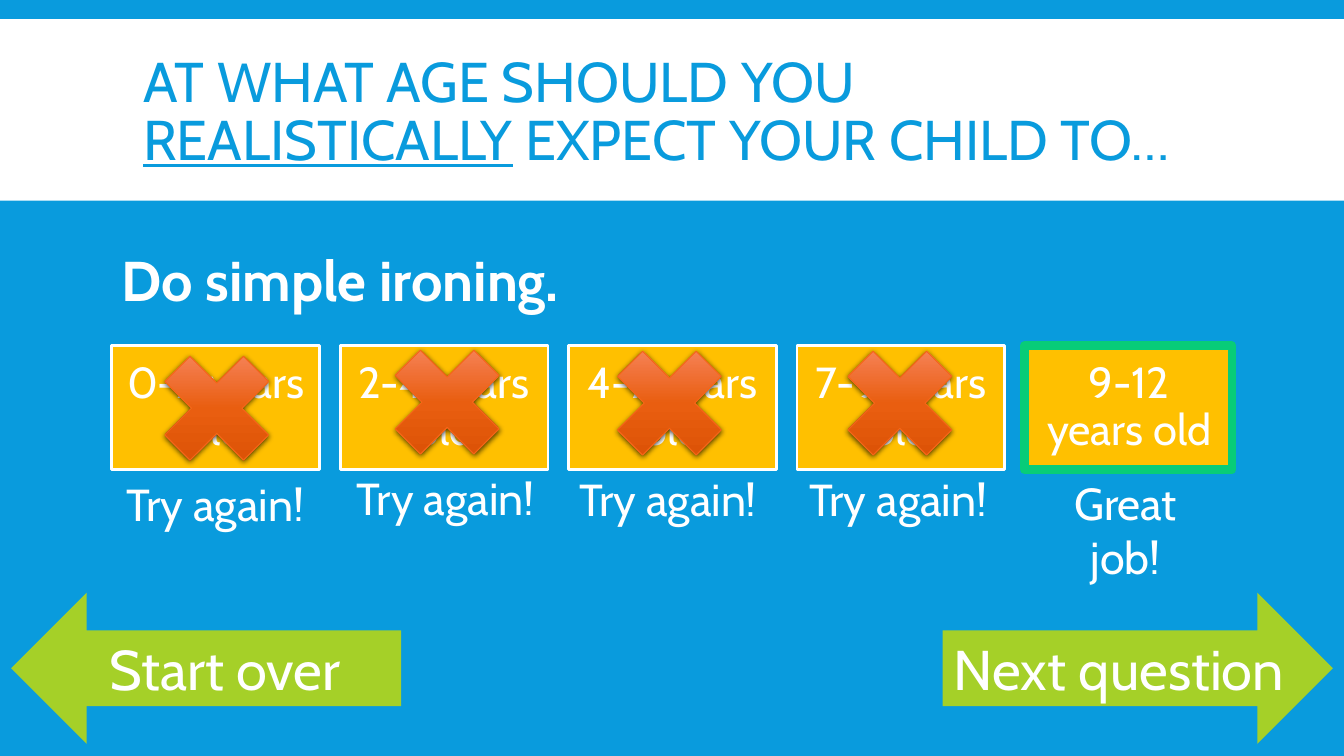
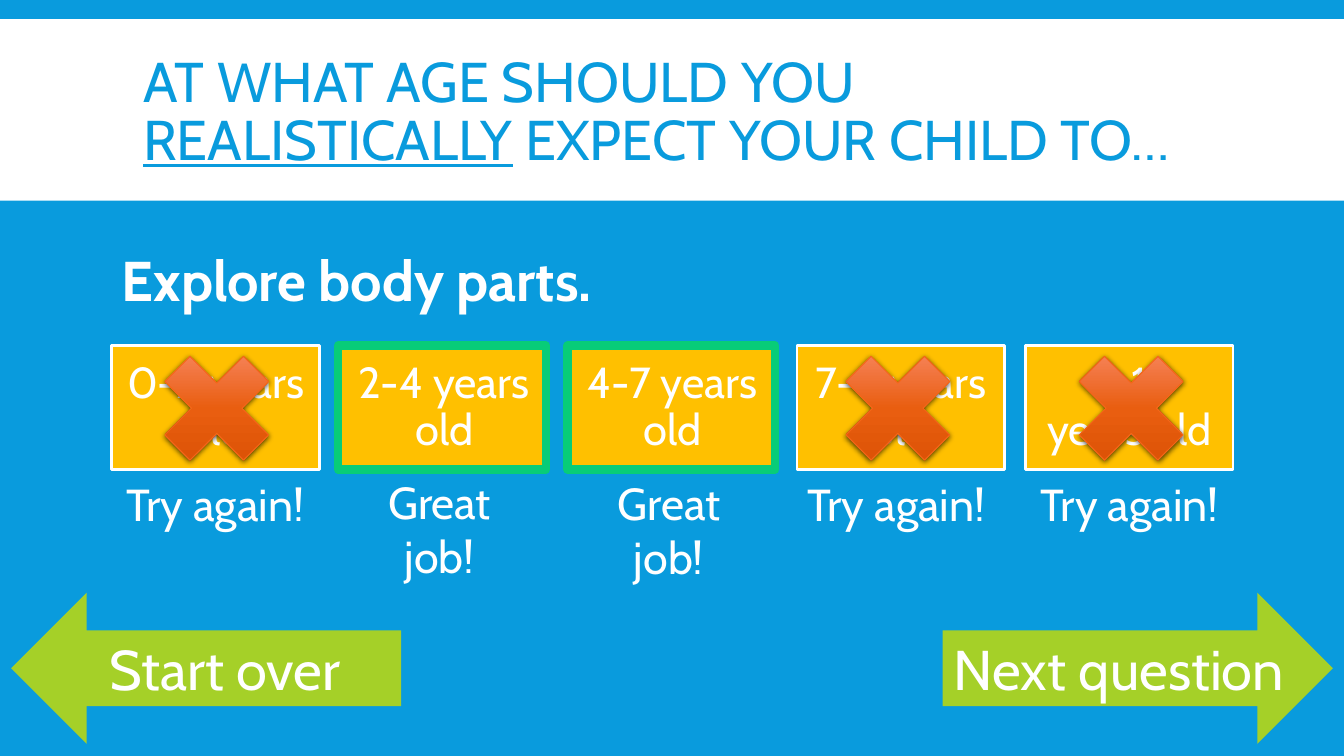
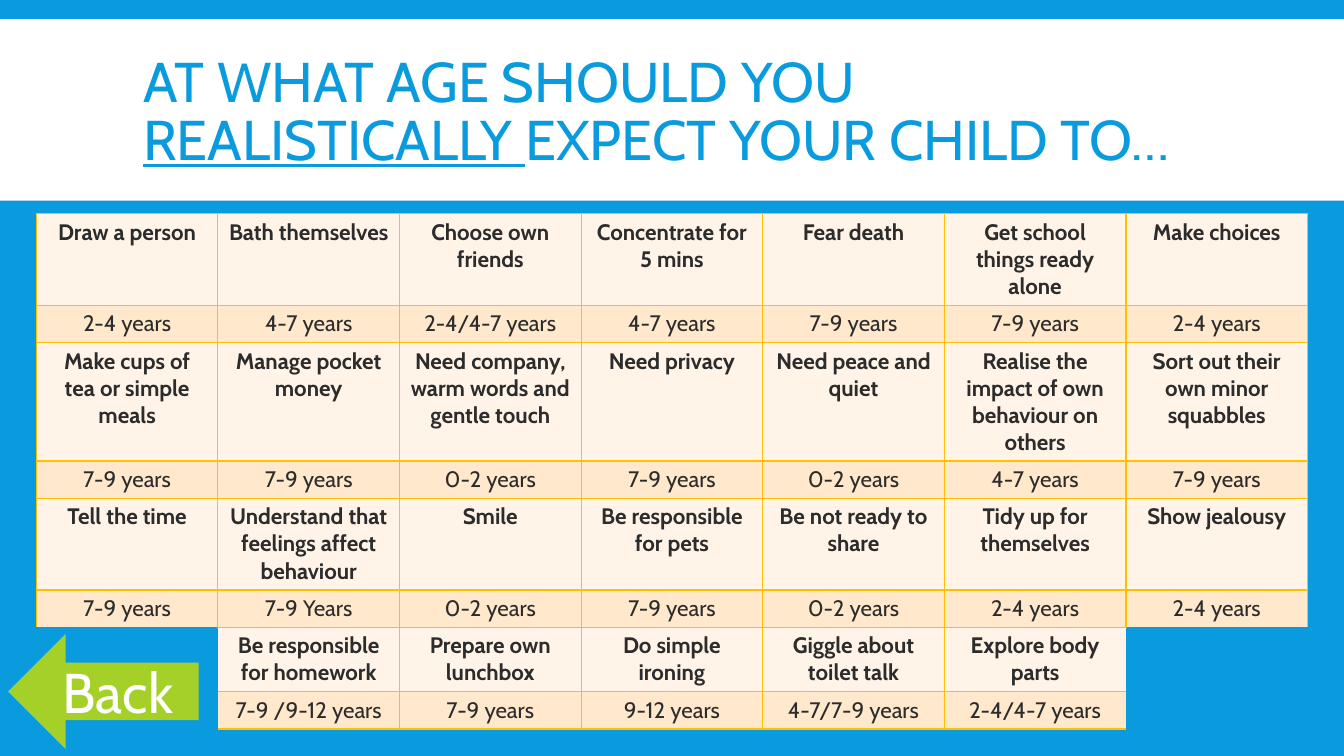
from copy import deepcopy
from dataclasses import dataclass

from pptx import Presentation
from pptx.dml.color import RGBColor
from pptx.enum.shapes import MSO_SHAPE
from pptx.enum.text import MSO_ANCHOR, MSO_AUTO_SIZE, PP_ALIGN
from pptx.oxml.ns import qn
from pptx.oxml.xmlchemy import OxmlElement
from pptx.shapes.autoshape import Shape
from pptx.slide import Slide, SlideLayout
from pptx.table import _Cell
from pptx.text.text import TextFrame, _Paragraph
from pptx.util import Inches, Pt

WIDTH, HEIGHT = 13.33, 7.5
FONT = "Cabin"
BLUE, WHITE, AMBER, LIME, GREEN = "099BDD", "FFFFFF", "FFC000", "A5D028", "08CC78"
INK, ACTIVITY_FILL, AGE_FILL = "2C2C2C", "FFF4E7", "FFE8CC"
CROSS_STOPS, CROSS_LINE = ((0, "FB9074"), (0.5, "E95E10"), (1, "D64D01")), "F56617"

# Grid of the answer boxes
GRID_LEFT, GRID_TOP, COLUMN_PITCH = 1.11, 3.43, 2.265
BOX_WIDTH, BOX_HEIGHT = 2.06, 1.23
REPLY_TOP, REPLY_WIDTH, REPLY_HEIGHT = 4.67, 1.97, 1.18
CROSS_SIZE = 1.5
AGES = ("0-2", "2-4", "4-7", "7-9", "9-12")


@dataclass(frozen=True)
class Box:
    left: float
    top: float
    width: float
    height: float

    def lengths(self) -> tuple[int, int, int, int]:
        return (Inches(self.left), Inches(self.top),
                Inches(self.width), Inches(self.height))


@dataclass(frozen=True)
class Answer:
    """Verdict on one age column; the shifts are offsets from the grid."""
    column: int
    shift_x: float = 0
    shift_y: float = 0
    correct: bool = False


@dataclass(frozen=True)
class Question:
    task: str
    answers: tuple[Answer, ...]


@dataclass(frozen=True)
class Milestone:
    activity: str
    age: str


QUESTIONS = (
    Question("Do simple ironing.", (
        Answer(0, 0.04, 0.01), Answer(1, 0.06, -0.05), Answer(2, 0, -0.04),
        Answer(3, 0.02, -0.04), Answer(4, 0.01, 0, True))),
    Question("Explore body parts.", (
        Answer(0, 0.04, 0.01), Answer(1, 0, -0.01, True), Answer(2, 0.01, 0, True),
        Answer(3, 0, 0.01), Answer(4, 0.05, 0.01))),
)

MILESTONES: tuple[tuple[Milestone | None, ...], ...] = (
    (Milestone("Draw a person", "2-4 years"),
     Milestone("Bath themselves", "4-7 years"),
     Milestone("Choose own friends", "2-4/4-7 years"),
     Milestone("Concentrate for 5 mins", "4-7 years"),
     Milestone("Fear death", "7-9 years"),
     Milestone("Get school things ready alone", "7-9 years"),
     Milestone("Make choices", "2-4 years")),
    (Milestone("Make cups of tea or simple meals", "7-9 years"),
     Milestone("Manage pocket money", "7-9 years"),
     Milestone("Need company, warm words and gentle touch", "0-2 years"),
     Milestone("Need privacy", "7-9 years"),
     Milestone("Need peace and quiet", "0-2 years"),
     Milestone("Realise the impact of own behaviour on others", "4-7 years"),
     Milestone("Sort out their own minor squabbles", "7-9 years")),
    (Milestone("Tell the time", "7-9 years"),
     Milestone("Understand that feelings affect behaviour", "7-9 Years"),
     Milestone("Smile", "0-2 years"),
     Milestone("Be responsible for pets", "7-9 years"),
     Milestone("Be not ready to share", "0-2 years"),
     Milestone("Tidy up for themselves", "2-4 years"),
     Milestone("Show jealousy", "2-4 years")),
    (None,
     Milestone("Be responsible for homework", "7-9 /9-12 years"),
     Milestone("Prepare own lunchbox", "7-9 years"),
     Milestone("Do simple ironing", "9-12 years"),
     Milestone("Giggle about toilet talk", "4-7/7-9 years"),
     Milestone("Explore body parts", "2-4/4-7 years"),
     None),
)
ACTIVITY_HEIGHTS, AGE_HEIGHT = (0.91, 1.17, 0.91, 0.64), 0.37


def color(code: str) -> RGBColor:
    return RGBColor.from_string(code)


def style(paragraph: _Paragraph, size: float, code: str = WHITE, bold: bool = False,
          align: PP_ALIGN = PP_ALIGN.CENTER) -> None:
    font = paragraph.font
    font.name, font.size, font.bold = FONT, Pt(size), bold
    font.color.rgb = color(code)
    paragraph.alignment = align


def write(frame: TextFrame, text: str, size: float, bold: bool = False,
          align: PP_ALIGN = PP_ALIGN.CENTER) -> _Paragraph:
    frame.word_wrap = True
    paragraph = frame.paragraphs[0]
    paragraph.text = text
    style(paragraph, size, bold=bold, align=align)
    return paragraph


def add_flat(slide: Slide, kind: MSO_SHAPE, box: Box, fill: str | None = None,
             line: str | None = None, line_width: float = 1) -> Shape:
    """Add a preset shape without shadow; a missing colour means no paint."""
    shape = slide.shapes.add_shape(kind, *box.lengths())
    shape.shadow.inherit = False
    if fill:
        shape.fill.solid()
        shape.fill.fore_color.rgb = color(fill)
    else:
        shape.fill.background()
    if line:
        shape.line.color.rgb = color(line)
        shape.line.width = Pt(line_width)
    else:
        shape.line.fill.background()
    return shape


def add_text(slide: Slide, box: Box, text: str, size: float, bold: bool = False,
             align: PP_ALIGN = PP_ALIGN.CENTER) -> _Paragraph:
    frame = slide.shapes.add_textbox(*box.lengths()).text_frame
    return write(frame, text, size, bold, align)


def add_titled_slide(prs: Presentation, layout: SlideLayout, underlined: str,
                     ending: str) -> Slide:
    slide = prs.slides.add_slide(layout)
    title = slide.shapes.title
    title.left, title.top, title.width, title.height = Box(1.32, 0.31, 10.7, 1.65).lengths()
    frame = title.text_frame
    frame.word_wrap, frame.auto_size = True, MSO_AUTO_SIZE.NONE
    frame.vertical_anchor = MSO_ANCHOR.MIDDLE
    paragraph = frame.paragraphs[0]
    paragraph.line_spacing = 0.85
    style(paragraph, 40, BLUE, align=PP_ALIGN.LEFT)
    for text in ("AT WHAT AGE SHOULD YOU ", underlined, ending):
        run = paragraph.add_run()
        run.text = text
        run.font.underline = text == underlined
    band = add_flat(slide, MSO_SHAPE.RECTANGLE, Box(0, 0.19, WIDTH, 1.8), WHITE)
    slide.shapes.element.insert(2, band.element)  # behind the title
    return slide


def add_arrow(slide: Slide, kind: MSO_SHAPE, box: Box, text: str) -> None:
    frame = add_flat(slide, kind, box, LIME).text_frame
    frame.vertical_anchor = MSO_ANCHOR.MIDDLE
    write(frame, text, 40)


def add_age_box(slide: Slide, column: int, age: str) -> None:
    left = GRID_LEFT + column * COLUMN_PITCH
    frame = add_flat(slide, MSO_SHAPE.RECTANGLE, Box(left, GRID_TOP, BOX_WIDTH, BOX_HEIGHT),
                     AMBER, WHITE, 2).text_frame
    frame.margin_left = frame.margin_right = Inches(0.13)
    frame.margin_top = frame.margin_bottom = Inches(0.13)
    frame.vertical_anchor = MSO_ANCHOR.MIDDLE
    write(frame, f"{age} years old", 31).line_spacing = 0.9


def add_cross(slide: Slide, left: float, top: float) -> None:
    cross = add_flat(slide, MSO_SHAPE.MATH_MULTIPLY, Box(left, top, CROSS_SIZE, CROSS_SIZE),
                     line=CROSS_LINE, line_width=0.75)
    fill = cross.fill
    fill.gradient()
    fill.gradient_angle = 270
    properties = cross.element.spPr
    stop_list = properties.find(f".//{qn('a:gsLst')}")
    stop_list.insert(1, deepcopy(stop_list[0]))
    for stop, (position, code) in zip(fill.gradient_stops, CROSS_STOPS):
        stop.position = position
        stop.color.rgb = color(code)

    shadow = OxmlElement("a:outerShdw")
    for key, value in (("blurRad", Pt(4)), ("dist", Pt(1.2)), ("dir", 5400000),
                       ("rotWithShape", 0)):
        shadow.set(key, str(int(value)))
    black, alpha = OxmlElement("a:srgbClr"), OxmlElement("a:alpha")
    black.set("val", "000000")
    alpha.set("val", "68000")
    black.append(alpha)
    shadow.append(black)
    properties.find(qn("a:effectLst")).append(shadow)


def add_answer(slide: Slide, answer: Answer) -> None:
    left = GRID_LEFT + answer.column * COLUMN_PITCH + answer.shift_x
    top = REPLY_TOP + answer.shift_y
    if answer.correct:
        add_flat(slide, MSO_SHAPE.RECTANGLE,
                 Box(left - 0.02, GRID_TOP, BOX_WIDTH, BOX_HEIGHT), line=GREEN, line_width=6)
    reply = "Great job!" if answer.correct else "Try again!"
    add_text(slide, Box(left, top, REPLY_WIDTH, REPLY_HEIGHT), reply, 32)
    if not answer.correct:
        add_cross(slide, left + 0.25, top - 1.38)


def add_question(slide: Slide, question: Question) -> None:
    task = add_text(slide, Box(GRID_LEFT, 2.52, 11.12, 0.73), question.task, 40, True,
                    PP_ALIGN.LEFT)
    task.line_spacing, task.space_before, task.space_after = 0.8, Pt(12), Pt(2)
    for column, age in enumerate(AGES):
        add_age_box(slide, column, age)
    for answer in question.answers:
        add_answer(slide, answer)
    width, margin, top = 3.87, 0.11, 5.88
    add_arrow(slide, MSO_SHAPE.RIGHT_ARROW, Box(WIDTH - margin - width, top, width, 1.5),
              "Next question")
    add_arrow(slide, MSO_SHAPE.LEFT_ARROW, Box(margin, top, width, 1.5), "Start over")


def set_border(cell: _Cell, side: str, visible: bool) -> None:
    line = OxmlElement(f"a:ln{side}")
    line.set("w", str(int(Pt(1))))
    paint = OxmlElement("a:solidFill" if visible else "a:noFill")
    if visible:
        code = OxmlElement("a:srgbClr")
        code.set("val", AMBER)
        paint.append(code)
    line.append(paint)
    # Borders come before the fill, in the order L, R, T, B
    properties = cell._tc.get_or_add_tcPr()
    properties.insert("LRTB".index(side), line)


def add_milestones(slide: Slide) -> None:
    columns = len(MILESTONES[0])
    texts = [[getattr(milestone, part) if milestone else "" for milestone in row]
             for row in MILESTONES for part in ("activity", "age")]
    heights = [height for activity in ACTIVITY_HEIGHTS for height in (activity, AGE_HEIGHT)]
    table = slide.shapes.add_table(len(texts), columns,
                                   *Box(0.36, 2.12, 12.61, sum(heights)).lengths()).table
    table.first_row = table.horz_banding = False

    def is_blank(row: int, column: int) -> bool:
        inside = 0 <= row < len(texts) and 0 <= column < columns
        return inside and not texts[row][column]

    for row, (height, row_texts) in enumerate(zip(heights, texts)):
        table.rows[row].height = Inches(height)
        is_activity = row % 2 == 0
        for column, text in enumerate(row_texts):
            cell = table.cell(row, column)
            paragraph = cell.text_frame.paragraphs[0]
            if text:
                paragraph.text = text
                cell.fill.solid()
                cell.fill.fore_color.rgb = color(ACTIVITY_FILL if is_activity else AGE_FILL)
            else:
                cell.fill.background()
            style(paragraph, 16, INK, is_activity)
            neighbours = {"L": (row, column - 1), "R": (row, column + 1),
                          "T": (row - 1, column), "B": (row + 1, column)}
            for side, neighbour in neighbours.items():
                set_border(cell, side, bool(text) and not is_blank(*neighbour))


def main() -> None:
    prs = Presentation()
    prs.slide_width, prs.slide_height = Inches(WIDTH), Inches(HEIGHT)
    background = prs.slide_master.background.fill
    background.solid()
    background.fore_color.rgb = color(BLUE)
    layout = prs.slide_layouts.get_by_name("Title Only")

    for question in QUESTIONS:
        add_question(add_titled_slide(prs, layout, "REALISTICALLY", " EXPECT YOUR CHILD TO…"),
                     question)

    summary = add_titled_slide(prs, layout, "REALISTICALLY ", "EXPECT YOUR CHILD TO…")
    add_milestones(summary)
    add_arrow(summary, MSO_SHAPE.LEFT_ARROW, Box(0.08, 6.29, 1.89, 1.14), "Back")
    prs.save("out.pptx")


if __name__ == "__main__":
    main()
